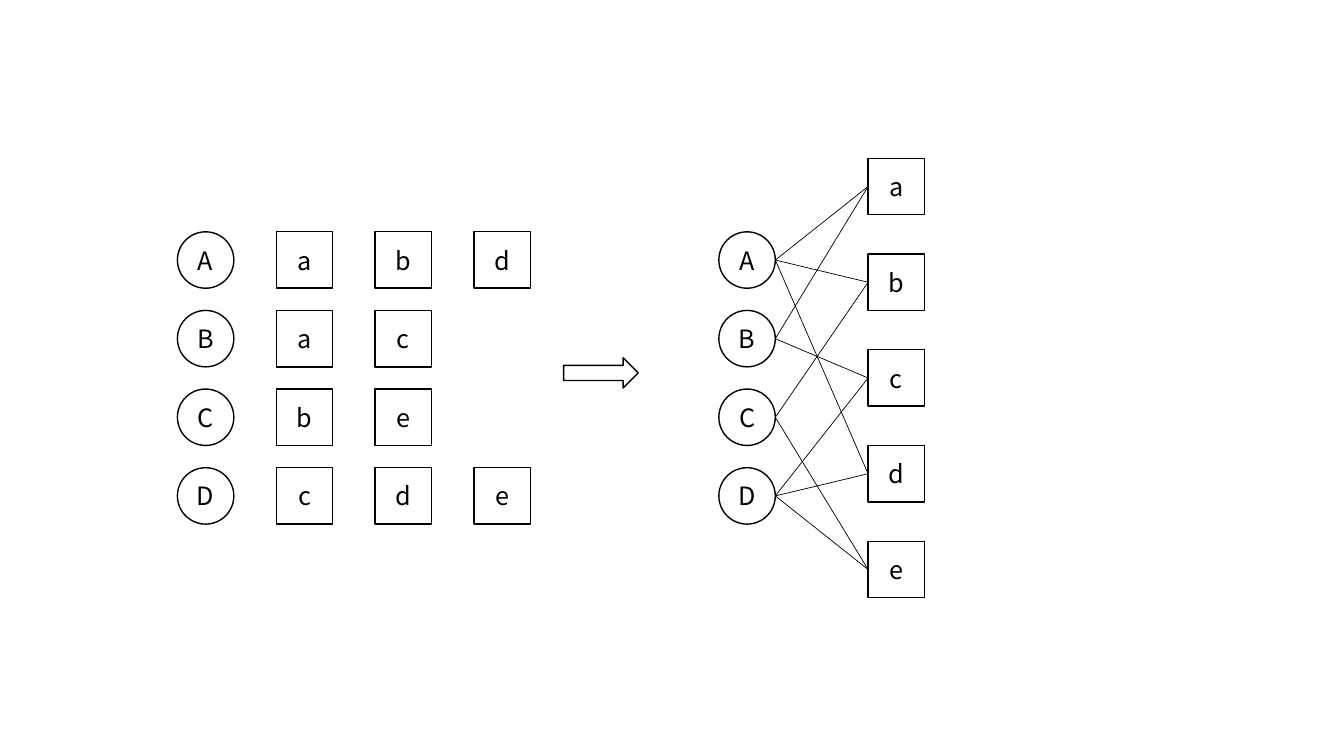
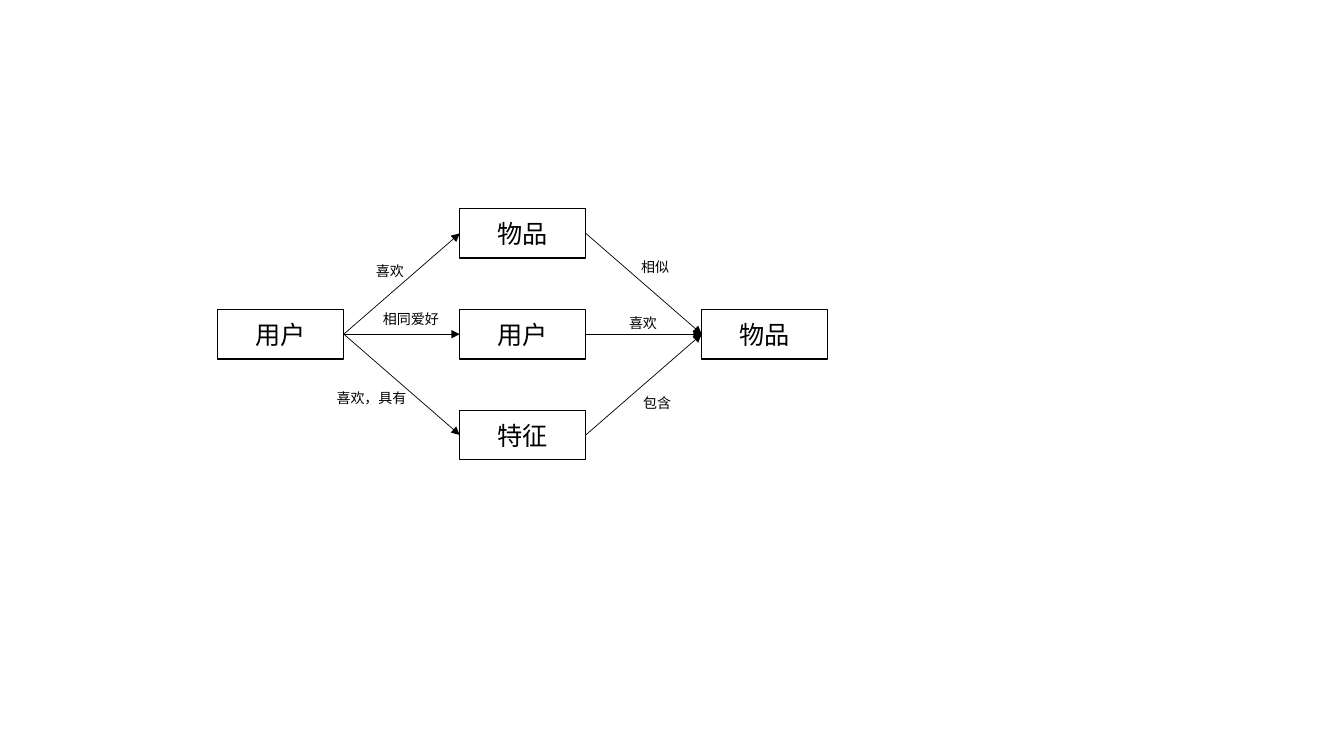
import pptx
import pptx.util
import pptx.dml.color
import pptx.enum.shapes
import pptx.enum.text
import pptx.oxml
import pptx.oxml.ns

Inches = pptx.util.Inches
Pt = pptx.util.Pt
KIND = pptx.enum.shapes.MSO_SHAPE
BLACK = pptx.dml.color.RGBColor(0, 0, 0)
WHITE = pptx.dml.color.RGBColor(255, 255, 255)
FONT = "Noto Sans CJK SC"
NODE = Inches(0.56)
ROW = Inches(0.78)
LIKES = {"A": "abd", "B": "ac", "C": "be", "D": "cde"}


def write(shape, text, size, align):
    """Put one styled line of text in a shape."""
    shape.text_frame.word_wrap = True
    para = shape.text_frame.paragraphs[0]
    para.text = text
    para.alignment = align
    font = para.font
    font.name, font.size = FONT, Pt(size)
    font.color.rgb = BLACK
    face = pptx.oxml.parse_xml(
        f'<a:ea {pptx.oxml.ns.nsdecls("a")} typeface="{FONT}"/>')
    font._element.find(pptx.oxml.ns.qn("a:latin")).addnext(face)


def node(slide, kind, left, top, width, height, text=None):
    """Draw a white shape with a black outline and an optional name."""
    shape = slide.shapes.add_shape(kind, left, top, width, height)
    shape.shadow.inherit = False
    shape.fill.solid()
    shape.fill.fore_color.rgb = WHITE
    shape.line.color.rgb = BLACK
    shape.line.width = Pt(1)
    if text:
        shape.text_frame.vertical_anchor = pptx.enum.text.MSO_ANCHOR.MIDDLE
        write(shape, text, 18, pptx.enum.text.PP_ALIGN.CENTER)
    return shape


def link(slide, start, end, arrow=False):
    """Join the right side of one node to the left side of another."""
    line = slide.shapes.add_connector(
        pptx.enum.shapes.MSO_CONNECTOR.STRAIGHT,
        start.left + start.width, start.top + start.height // 2,
        end.left, end.top + end.height // 2)
    if start.auto_shape_type == KIND.RECTANGLE:
        line.begin_connect(start, 3)
    end_site = 1
    line.end_connect(end, end_site)
    line.line.color.rgb = BLACK
    line.line.width = Pt(0.5)
    names = pptx.oxml.ns.nsdecls("a")
    if arrow:
        line.line._get_or_add_ln().append(
            pptx.oxml.parse_xml(f'<a:tailEnd {names} type="triangle"/>'))
    line._element.spPr.append(pptx.oxml.parse_xml(f"<a:effectLst {names}/>"))


def label(slide, left, top, width, text):
    """Write a small relation name."""
    box = slide.shapes.add_textbox(left, top, width, Inches(0.27))
    write(box, text, 10, pptx.enum.text.PP_ALIGN.LEFT)


def stack(slide, kind, names, left, mid, step):
    """Stack square nodes evenly about a middle height, keyed by name."""
    top = mid - (step * (len(names) - 1) + NODE) // 2
    return {name: node(slide, kind, left, top + i * step, NODE, NODE, name)
            for i, name in enumerate(names)}


def lists(slide, left, mid):
    """Draw each user with a row of liked items."""
    users = stack(slide, KIND.OVAL, LIKES, left, mid, ROW)
    for user, items in LIKES.items():
        for col, item in enumerate(items, 1):
            node(slide, KIND.RECTANGLE, left + col * Inches(0.98),
                 users[user].top, NODE, NODE, item)


def graph(slide, left, mid):
    """Draw users and items as a graph with two sides."""
    users = stack(slide, KIND.OVAL, LIKES, left, mid, ROW)
    names = sorted(set("".join(LIKES.values())))
    goods = stack(slide, KIND.RECTANGLE, names, left + Inches(1.48),
                  mid, Inches(0.95))
    for user, items in LIKES.items():
        for item in items:
            link(slide, users[user], goods[item])


def paths(slide, left, top):
    """Draw three labelled routes from the user to the item."""
    def place(col, row, text):
        """Place a box on the grid of three columns and rows."""
        return node(slide, KIND.RECTANGLE, left + col * Inches(2.4),
                    top + row * Inches(1), Inches(1.25), Inches(0.49), text)

    start = place(0, 1, "用户")
    mids = [place(1, row, text)
            for row, text in enumerate(("物品", "用户", "特征"))]
    goal = place(2, 1, "物品")
    for mid in mids:
        link(slide, start, mid, True)
        link(slide, mid, goal, True)
    for x, y, width, text in (
            (1.47, 0.49, 0.52, "喜欢"), (1.54, 0.96, 0.9, "相同爱好"),
            (1.08, 1.75, 0.92, "喜欢，具有"), (4.1, 0.45, 0.59, "相似"),
            (3.98, 1, 0.58, "喜欢"), (4.12, 1.79, 0.58, "包含")):
        label(slide, left + Inches(x), top + Inches(y), Inches(width), text)


deck = pptx.Presentation()
deck.slide_width, deck.slide_height = Inches(13.33), Inches(7.5)
blank = deck.slide_layouts[6]

slide = deck.slides.add_slide(blank)
center = deck.slide_height // 2
lists(slide, Inches(1.76), center)
graph(slide, Inches(7.13), center)
node(slide, KIND.RIGHT_ARROW, Inches(5.59), Inches(3.55),
     Inches(0.74), Inches(0.3))

paths(deck.slides.add_slide(blank), Inches(2.16), Inches(2.07))
deck.save("out.pptx")
